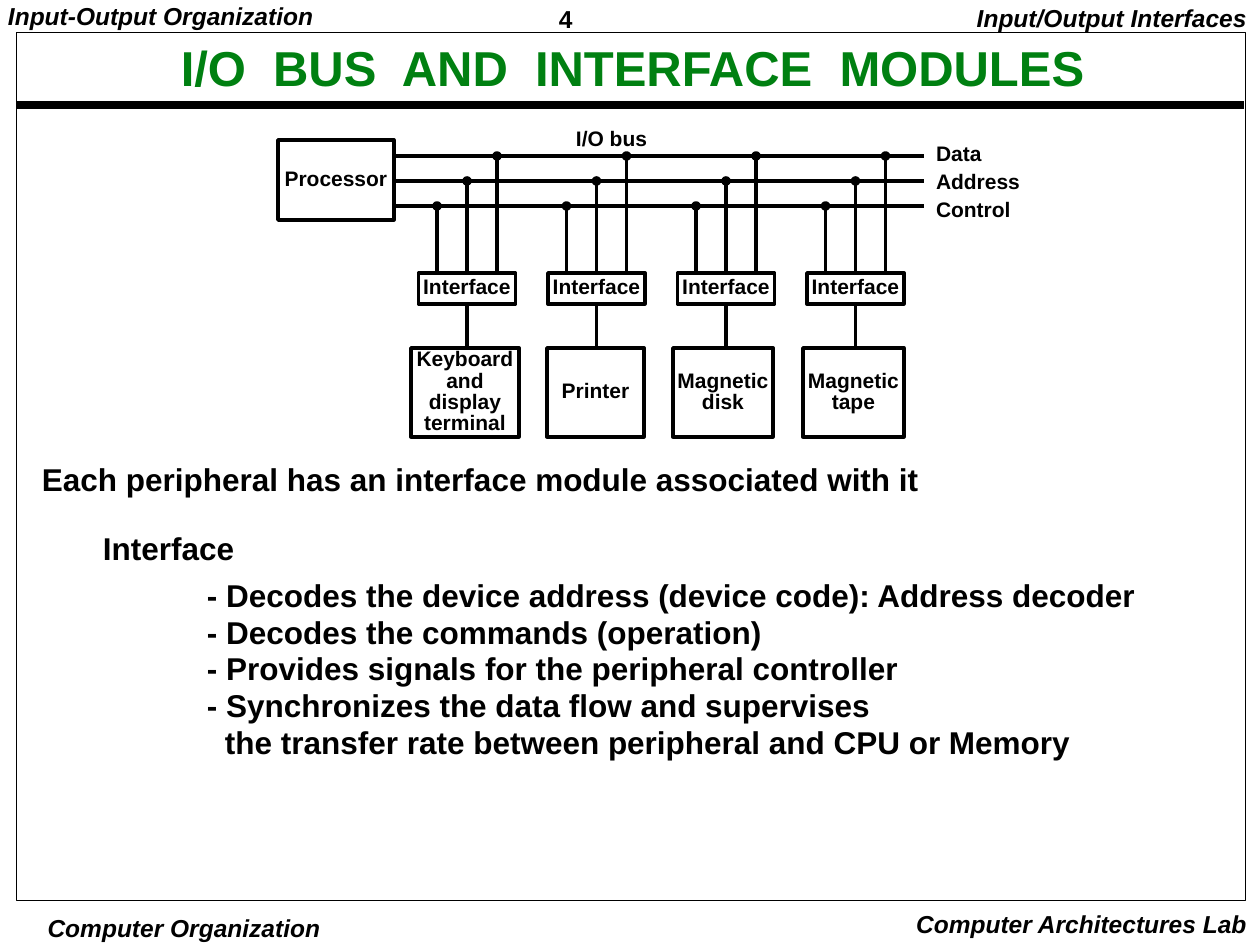
from pptx import Presentation
from pptx.dml.color import RGBColor
from pptx.enum.shapes import MSO_CONNECTOR, MSO_SHAPE
from pptx.enum.text import MSO_ANCHOR, MSO_AUTO_SIZE, PP_ALIGN
from pptx.util import Emu, Pt
from lxml.etree import SubElement
from pptx.oxml.ns import qn

BLACK = RGBColor(0x00, 0x00, 0x00)
GREEN = RGBColor(0x00, 0x80, 0x11)
FONT = "Arial"
PX_PER_INCH = 126
LEFT, CENTER, RIGHT = PP_ALIGN.LEFT, PP_ALIGN.CENTER, PP_ALIGN.RIGHT


def px(length):
    return Emu(round(length * 914400 / PX_PER_INCH))


class SlideBuilder:
    """Holds the current slide and the shared text and line style."""

    def __init__(self, slide):
        self.slide = slide
        self.shapes = slide.shapes

    def set_lines(self, shape, lines, size=12, color=BLACK, align=LEFT, spacing=0.9,
                  inset=(13, 6), anchor=MSO_ANCHOR.TOP, italic=False, gap=0, indents=()):
        """Fill a shape with one paragraph per line; indents gives px for each line."""
        frame = shape.text_frame
        frame.word_wrap = True
        frame.auto_size = MSO_AUTO_SIZE.NONE
        frame.vertical_anchor = anchor
        frame.margin_left = frame.margin_right = px(inset[0])
        frame.margin_top = frame.margin_bottom = px(inset[1])
        for number, line in enumerate(lines):
            paragraph = frame.add_paragraph() if number else frame.paragraphs[0]
            paragraph.alignment = align
            paragraph.line_spacing = spacing
            paragraph.space_before = Pt(gap if number else 0)
            properties = paragraph._p.get_or_add_pPr()
            properties.set("marL", str(px(indents[number] if indents else 0)))
            properties.set("indent", "0")
            SubElement(properties, qn("a:buNone"))
            run = paragraph.add_run()
            run.text = line
            run.font.name = FONT
            run.font.size = Pt(size)
            run.font.bold = True
            run.font.italic = italic
            run.font.color.rgb = color

    def text(self, lines, x, y, w, h, **style):
        box = self.shapes.add_textbox(px(x), px(y), px(w), px(h))
        self.set_lines(box, lines, **style)

    def placeholder(self, index, lines, x, y, w, h, **style):
        holder = self.slide.placeholders[index]
        holder.left, holder.top, holder.width, holder.height = map(px, (x, y, w, h))
        self.set_lines(holder, lines, **style)

    def outline(self, kind, x, y, w, h, weight=2):
        shape = self.shapes.add_shape(kind, px(x), px(y), px(w), px(h))
        shape.shadow.inherit = False
        shape.fill.background()
        shape.line.color.rgb = BLACK
        shape.line.width = Pt(weight)
        return shape

    def box(self, lines, x, y, w, h):
        shape = self.outline(MSO_SHAPE.RECTANGLE, x, y, w, h)
        self.set_lines(shape, lines, align=CENTER, spacing=0.85, inset=(0, 0),
                       anchor=MSO_ANCHOR.MIDDLE)

    def dot(self, x, y, size=6):
        shape = self.outline(MSO_SHAPE.OVAL, x - size / 2, y - size / 2, size, size)
        shape.fill.solid()
        shape.fill.fore_color.rgb = BLACK

    def line(self, x1, y1, x2, y2, weight=2):
        connector = self.shapes.add_connector(
            MSO_CONNECTOR.STRAIGHT, px(x1), px(y1), px(x2), px(y2))
        connector.line.color.rgb = BLACK
        connector.line.width = Pt(weight)
        SubElement(connector._element.spPr, qn("a:effectLst"))


# Bus name, height of its line, and offset of its taps from an interface centre
BUSES = [("Data", 156, 30), ("Address", 181, 0), ("Control", 206, -30)]
BUS_START, BUS_END = 394, 924

# Device name, left edge and width of its box
DEVICES = [
    (["Keyboard", "and", "display", "terminal"], 411, 108),
    (["Printer"], 547, 97),
    (["Magnetic", "disk"], 673, 100),
    (["Magnetic", "tape"], 803, 101),
]
FIRST_CENTER, PITCH = 467, 129.5
INTERFACE_TOP, INTERFACE_W, INTERFACE_H = 273, 97, 31
DEVICE_TOP, DEVICE_H = 348, 89

DUTIES = [
    "- Decodes the device address (device code): Address decoder",
    "- Decodes the commands (operation)",
    "- Provides signals for the peripheral controller",
    "- Synchronizes the data flow and supervises",
    "the transfer rate between peripheral and CPU or Memory",
]


def add_page_frame(page):
    page.text(["4"], 550, 0, 136, 37, size=14, spacing=1.0, inset=(9, 4))
    page.text(["Input-Output Organization"], -1, 0, 360, 34, size=14,
              inset=(9, 4), italic=True)
    page.text(["Input/Output Interfaces"], 940, 0, 320, 39, size=14,
              align=RIGHT, italic=True)
    page.text(["Computer Organization"], 24, 912, 320, 33, size=14,
              align=CENTER, spacing=1.0, inset=(4, 1), italic=True)
    page.text(["Computer Architectures Lab"], 880, 903, 380, 42, size=14,
              align=RIGHT, spacing=1.0, italic=True)
    page.line(16, 105, 1244, 105, weight=4.5)
    page.outline(MSO_SHAPE.RECTANGLE, 16, 33, 1229, 868, weight=0.5)


def add_bus_diagram(page):
    page.box(["Processor"], 278, 140, 116, 80)
    page.text(["I/O bus"], 563, 122, 110, 35)
    for row, (name, bus_y, _) in enumerate(BUSES):
        page.line(BUS_START, bus_y, BUS_END, bus_y)
        page.text([name], 923, 137 + 28 * row, 120, 35)

    for column, (device, left, width) in enumerate(DEVICES):
        center = FIRST_CENTER + PITCH * column
        for _, bus_y, offset in BUSES:
            page.line(center + offset, bus_y, center + offset, INTERFACE_TOP)
            page.dot(center + offset, bus_y)
        page.box(["Interface"], center - INTERFACE_W / 2, INTERFACE_TOP,
                 INTERFACE_W, INTERFACE_H)
        page.line(center, INTERFACE_TOP + INTERFACE_H, center, DEVICE_TOP)
        page.box(device, left, DEVICE_TOP, width, DEVICE_H)


def main():
    deck = Presentation()
    deck.slide_width, deck.slide_height = px(1260), px(945)
    page = SlideBuilder(deck.slides.add_slide(deck.slide_layouts[1]))

    add_page_frame(page)
    page.placeholder(0, ["I/O  BUS  AND  INTERFACE  MODULES"], 83, 33, 1099, 76,
                     size=28, color=GREEN, align=CENTER, inset=(9, 4),
                     anchor=MSO_ANCHOR.MIDDLE)
    add_bus_diagram(page)
    page.text(["Each peripheral has an interface module associated with it",
               "Interface"], 33, 460, 1000, 110, size=18, spacing=Pt(19.5),
              inset=(9, 4), gap=19.5, indents=(0, 61))
    page.placeholder(1, DUTIES, 198, 573, 1000, 192, size=18, spacing=Pt(21),
                     inset=(9, 4), indents=(0, 0, 0, 0, 18))
    deck.save("out.pptx")


if __name__ == "__main__":
    main()
